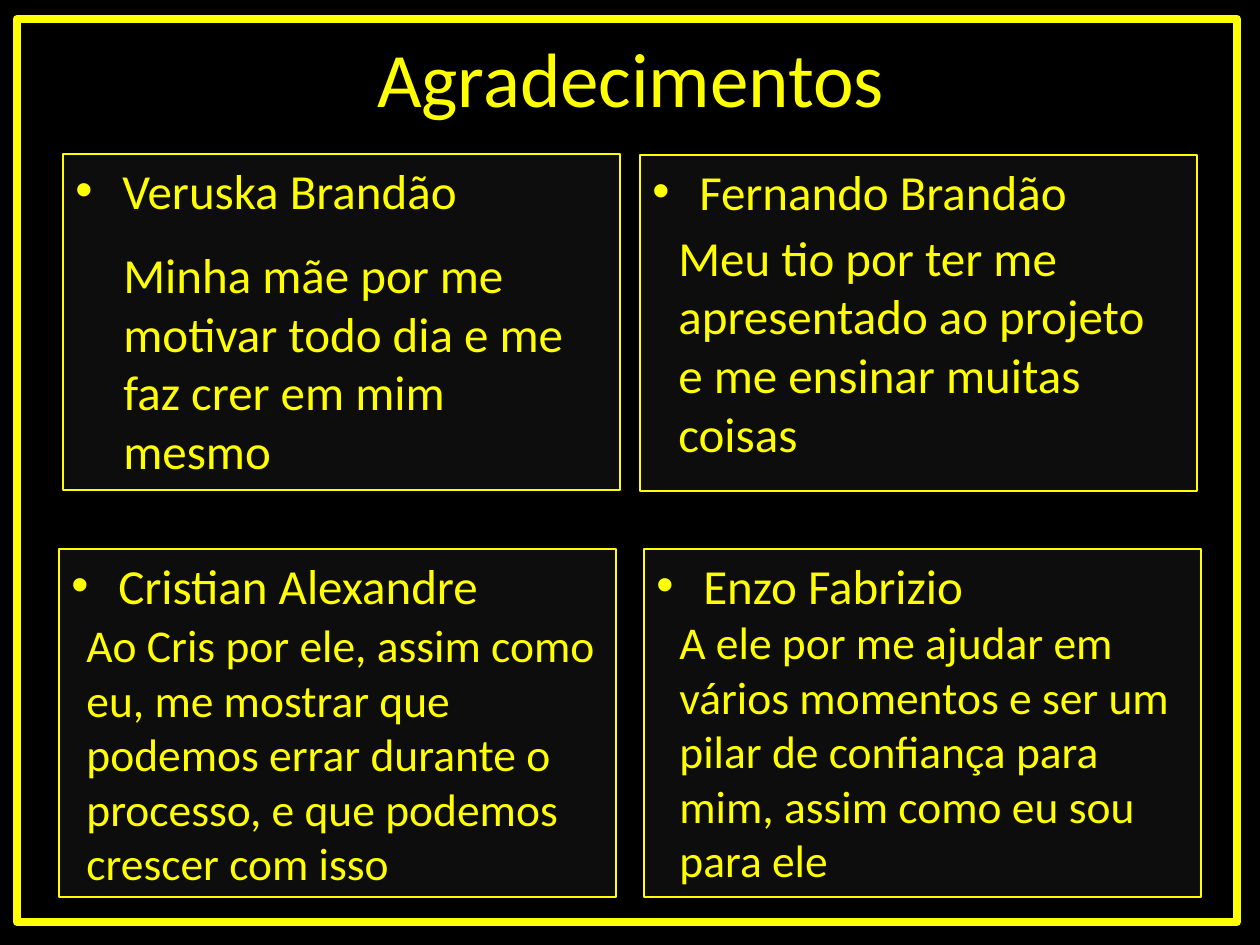
from dataclasses import dataclass

from lxml import etree
from pptx import Presentation
from pptx import util as u
from pptx.dml.color import RGBColor
from pptx.enum import shapes, text
from pptx.oxml import ns


@dataclass(frozen=True)
class Theme:
    background: RGBColor = RGBColor(0x00, 0x00, 0x00)
    panel: RGBColor = RGBColor(0x0D, 0x0D, 0x0D)
    accent: RGBColor = RGBColor(0xFF, 0xFF, 0x00)
    face: str = "Calibri"
    title_size: int = 44
    name_size: int = 28
    thin_line: float = 0.75
    frame_line: float = 4.5


THEME = Theme()
PX_PER_INCH = 126
HANGING_INDENT = 47
CARD_WIDTH = 557

THANKS = [
    ("Veruska Brandão", (63, 154, 336),
     "Minha mãe por me motivar todo dia e me faz crer em mim mesmo",
     (111, 238, 476, 251), 28),
    ("Fernando Brandão", (640, 155, 336),
     "Meu tio por ter me apresentado ao projeto e me ensinar muitas coisas",
     (666, 221, 520, 251), 28),
    ("Cristian Alexandre", (59, 549, 348),
     "Ao Cris por ele, assim como eu, me mostrar que podemos errar durante "
     "o processo, e que podemos crescer com isso",
     (74, 611, 549, 289), 26),
    ("Enzo Fabrizio", (644, 549, 348),
     "A ele por me ajudar em vários momentos e ser um pilar de confiança "
     "para mim, assim como eu sou para ele",
     (667, 608, 520, 289), 26),
]


def px(length):
    return u.Emu(round(length * u.Inches(1) / PX_PER_INCH))


def apply(target, values):
    for key, value in values.items():
        setattr(target, key, value)


def write(holder, wording, size, align=text.PP_ALIGN.LEFT, bullet=False, **frame_format):
    frame = holder.text_frame
    apply(frame, {"word_wrap": True, **frame_format})
    paragraph = frame.paragraphs[0]
    paragraph.text = wording
    paragraph.alignment = align
    if bullet:
        add_bullet(paragraph)
    apply(paragraph.runs[0].font, {"name": THEME.face, "size": u.Pt(size)})
    paragraph.runs[0].font.color.rgb = THEME.accent


def add_bullet(paragraph):
    properties = paragraph._p.get_or_add_pPr()
    properties.set("marL", str(px(HANGING_INDENT)))
    properties.set("indent", str(-px(HANGING_INDENT)))
    etree.SubElement(properties, ns.qn("a:buFont")).set("typeface", "Arial")
    etree.SubElement(properties, ns.qn("a:buChar")).set("char", "•")


def add_text(slide, box, wording, size, **options):
    holder = slide.shapes.add_textbox(*map(px, box))
    write(holder, wording, size, **options)


def add_panel(slide, box, line_width, fill=None):
    panel = slide.shapes.add_shape(shapes.MSO_SHAPE.RECTANGLE, *map(px, box))
    panel.shadow.inherit = False
    if fill is None:
        panel.fill.background()
    else:
        panel.fill.solid()
        panel.fill.fore_color.rgb = fill
    panel.line.color.rgb = THEME.accent
    panel.line.width = u.Pt(line_width)
    return panel


def add_card(slide, name, place):
    left, top, height = place
    card = add_panel(slide, (left, top, CARD_WIDTH, height), THEME.thin_line, THEME.panel)
    write(card, name, THEME.name_size, bullet=True, vertical_anchor=text.MSO_ANCHOR.TOP)


def main():
    deck = Presentation()
    apply(deck, {"slide_width": px(1260), "slide_height": px(945)})
    slide = deck.slides.add_slide(deck.slide_layouts[6])
    slide.background.fill.solid()
    slide.background.fill.fore_color.rgb = THEME.background

    add_text(slide, (64, -2, 1134, 158), "Agradecimentos", THEME.title_size,
             align=text.PP_ALIGN.CENTER, vertical_anchor=text.MSO_ANCHOR.MIDDLE)
    add_panel(slide, (17, 19, 1220, 903), THEME.frame_line)
    for name, place, message, message_box, size in THANKS:
        add_card(slide, name, place)
        add_text(slide, message_box, message, size,
                 auto_size=text.MSO_AUTO_SIZE.SHAPE_TO_FIT_TEXT)
    deck.save("out.pptx")


if __name__ == "__main__":
    main()
